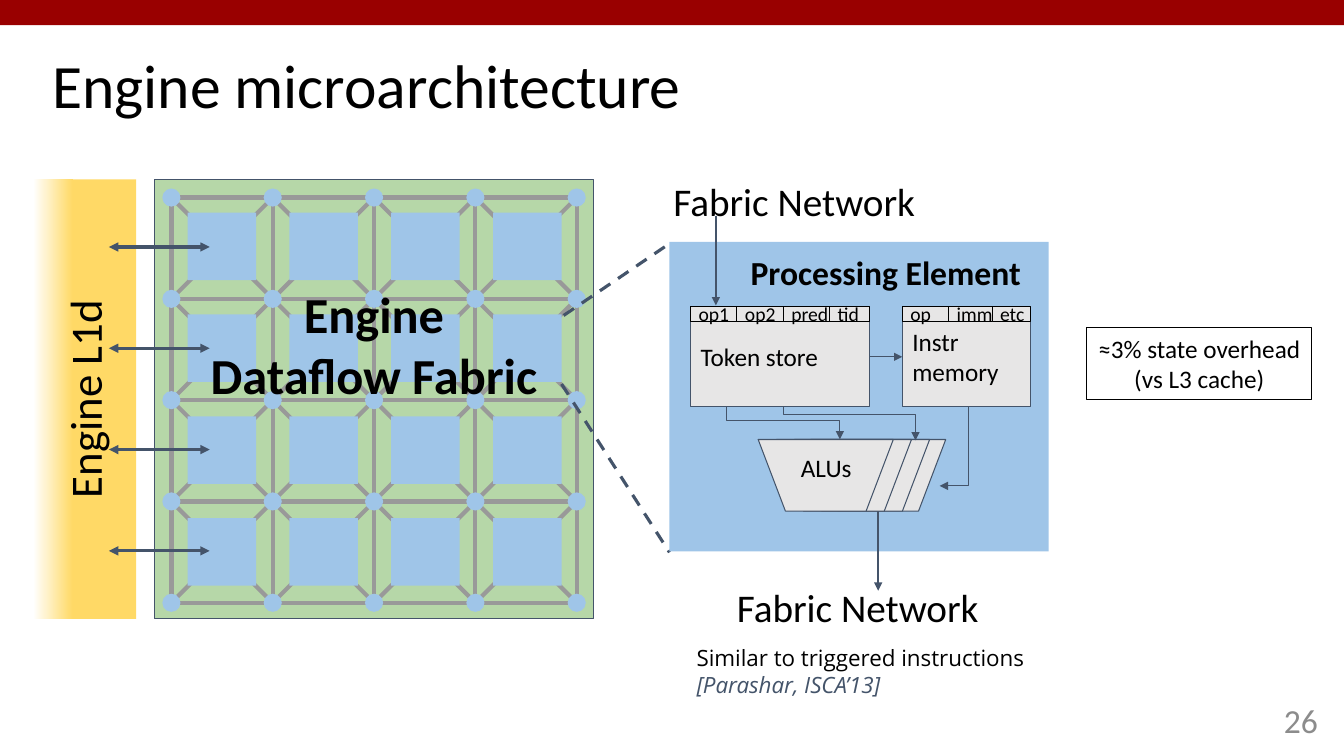
from lxml import etree
from pptx import Presentation
from pptx.dml.color import RGBColor
from pptx.enum.dml import MSO_LINE
from pptx.enum.shapes import MSO_CONNECTOR, MSO_SHAPE
from pptx.enum.text import MSO_ANCHOR, PP_ALIGN
from pptx.oxml.ns import qn
from pptx.util import Inches, Pt

RECTANGLE, OVAL, TRAPEZOID = MSO_SHAPE.RECTANGLE, MSO_SHAPE.OVAL, MSO_SHAPE.TRAPEZOID
STRAIGHT = MSO_CONNECTOR.STRAIGHT
DASH = MSO_LINE.DASH
LEFT, CENTER, RIGHT = PP_ALIGN.LEFT, PP_ALIGN.CENTER, PP_ALIGN.RIGHT
TOP, MIDDLE = MSO_ANCHOR.TOP, MSO_ANCHOR.MIDDLE

COLORS = {
    "banner": "990000",
    "fabric": "B6D7A8",
    "link": "999999",
    "element": "9FC5E8",
    "cache": "FFD966",
    "navy": "44546A",
    "unit": "E7E6E6",
    "black": "000000",
    "white": "FFFFFF",
    "number": "8C8C8C",
}
WIDE = (0.1, 0.1, 0.1, 0.1)
NORMAL = (0.1, 0.05, 0.1, 0.05)


def color(name):
    return RGBColor.from_string(COLORS[name])


class Diagram:
    def __init__(self, slide, font="Calibri"):
        self.slide = slide
        self.font = font

    def style_line(self, shape, name, width, ends=()):
        shape.line.color.rgb = color(name)
        shape.line.width = Pt(width)
        outline = shape.element.spPr.find(qn("a:ln"))
        for end in ends:
            etree.SubElement(outline, qn(f"a:{end}"), type="triangle")

    def box(self, left, top, width, height, fill=None, line=None, kind=RECTANGLE):
        shape = self.slide.shapes.add_shape(
            kind, Inches(left), Inches(top), Inches(width), Inches(height))
        shape.shadow.inherit = False
        if fill:
            shape.fill.solid()
            shape.fill.fore_color.rgb = color(fill)
        else:
            shape.fill.background()
        if line:
            self.style_line(shape, line, 0.75)
        else:
            shape.line.fill.background()
        return shape

    def set_text(self, shape, text, size, align=LEFT, anchor=TOP, insets=WIDE,
                 bold=False, ink="black", wrap=True):
        frame = shape.text_frame
        frame.word_wrap = wrap
        frame.vertical_anchor = anchor
        (frame.margin_left, frame.margin_top,
         frame.margin_right, frame.margin_bottom) = map(Inches, insets)
        frame.text = text
        for paragraph in frame.paragraphs:
            paragraph.alignment = align
            paragraph.font.name = self.font
            paragraph.font.size = Pt(size)
            paragraph.font.bold = bold
            paragraph.font.color.rgb = color(ink)

    def label(self, left, top, width, height, text, size, **style):
        shape = self.slide.shapes.add_textbox(
            Inches(left), Inches(top), Inches(width), Inches(height))
        self.set_text(shape, text, size, **style)
        return shape

    def line(self, start, end, name="navy", width=2.25, ends=(), dash=None):
        connector = self.slide.shapes.add_connector(
            STRAIGHT, *map(Inches, (*start, *end)))
        if dash:
            connector.line.dash_style = dash
        self.style_line(connector, name, width, ends)
        etree.SubElement(connector.element.spPr, qn("a:effectLst"))

    def route(self, *points):
        start, *rest = [(Inches(x), Inches(y)) for x, y in points]
        builder = self.slide.shapes.build_freeform(*start)
        builder.add_line_segments(rest, close=False)
        shape = builder.convert_to_shape()
        shape.shadow.inherit = False
        shape.fill.background()
        self.style_line(shape, "navy", 0.75, ["tailEnd"])

    def register(self, left, widths, names):
        for width, name in zip(widths, names):
            self.box(left, 3.04, width, 0.15, "unit", "black")
            self.label(left - 0.02, 2.95, 0.65, 0.34, name, 14, insets=NORMAL)
            left += width


def node(column, row):
    return 1.7 + 1.005 * column, 1.96 + 1.005 * row


def draw_fabric(diagram):
    diagram.box(1.53, 1.78, 4.36, 4.36, "fabric")
    links = []
    for index in range(5):
        links.append(((index, 0), (index, 4)))
        links.append(((0, index), (4, index)))
    for offset in range(-3, 4):
        right, down = max(offset, 0), max(-offset, 0)
        links.append(((right, down), (4 - down, 4 - right)))
        links.append(((4 - right, down), (down, 4 - right)))
    for start, end in links:
        diagram.line(node(*start), node(*end), "link", 3)
    for row in range(4):
        for column in range(4):
            diagram.box(1.86 + 1.01 * column, 2.11 + 1.01 * row, 0.68, 0.67, "element")
    for row in range(5):
        for column in range(5):
            x, y = node(column, row)
            diagram.box(x - 0.09, y - 0.09, 0.18, 0.18, "element", kind=OVAL)


def draw_cache(diagram):
    diagram.box(0.48, 1.78, 0.87, 4.36, "cache")
    fade = diagram.box(0.33, 1.78, 0.39, 4.36, "cache")
    fade.fill.gradient()
    fade.fill.gradient_angle = 0
    for stop, name in zip(fade.fill.gradient_stops, ("white", "cache")):
        stop.color.rgb = color(name)
    for row in range(4):
        y = 2.45 + 1.005 * row
        diagram.line((2.08, y), (1.08, y), ends=("headEnd", "tailEnd"))
    frame = diagram.box(1.53, 1.78, 4.36, 4.36, line="navy")
    diagram.set_text(frame, "Engine\nDataflow Fabric", 36, CENTER, MIDDLE,
                     (0.1, 0.1, 0.1, 1.2), bold=True)
    title = diagram.label(-1.45, 3.7, 4.35, 0.52, "Engine L1d", 32, align=CENTER)
    title.rotation = 270


def draw_processing_element(diagram):
    diagram.line((5.59, 3.13), (6.65, 2.41), dash=DASH)
    diagram.line((5.57, 3.81), (6.64, 5.48), dash=DASH)
    element = diagram.box(6.64, 2.4, 3.76, 3.07, "element")
    diagram.set_text(element, "Processing Element", 24, CENTER,
                     insets=(0.63, 0.1, 0.1, 0.1), bold=True)
    for left in (8.04, 7.88, 7.7, 7.52):
        unit = diagram.box(left, 4.36, 1.34, 0.71, "unit", "navy", TRAPEZOID)
        unit.adjustments[0] = 0.38
        unit.rotation = 180
    diagram.label(7.72, 4.39, 0.95, 0.51, "ALUs", 18, align=CENTER)
    diagram.line((7.1, 2.14), (7.1, 3.03), width=1.5, ends=["tailEnd"])
    diagram.line((8.71, 5.07), (8.71, 5.86), width=1.5, ends=["tailEnd"])
    for left, top in ((6.58, 1.66), (7.21, 5.69)):
        diagram.label(left, top, 2.92, 0.62, "Fabric Network", 28)
    diagram.line((8.62, 3.54), (8.95, 3.54), width=0.75, ends=["tailEnd"])
    diagram.route((9.61, 4.04), (9.61, 4.82), (9.32, 4.82))
    diagram.route((7.21, 3.92), (7.21, 4.17), (8.33, 4.17), (8.33, 4.36))
    diagram.route((7.77, 4.03), (7.77, 4.11), (9.08, 4.11), (9.08, 4.37))
    for left, width, name in ((6.85, 1.77, "Token store"), (8.95, 1.27, "Instr memory")):
        memory = diagram.box(left, 3.04, width, 0.99, "unit", "navy")
        diagram.set_text(memory, name, 18, anchor=MIDDLE)
    diagram.register(6.85, (0.46, 0.46, 0.46, 0.39), ("op1", "op2", "pred", "tid"))
    diagram.register(8.95, (0.46, 0.43, 0.38), ("op", "imm", "etc"))


def draw_notes(diagram):
    overhead = diagram.box(10.78, 3.25, 2.23, 0.71, line="black")
    diagram.set_text(overhead, "≈3% state overhead\n(vs L3 cache)", 18, CENTER,
                     MIDDLE, NORMAL, wrap=False)
    credit = diagram.label(6.81, 6.34, 3.48, 0.64,
                           "Similar to triggered instructions\n[Parashar, ISCA’13]",
                           16, insets=NORMAL, wrap=False)
    for paragraph in credit.text_frame.paragraphs:
        paragraph.font.name = "Open Sans"
    citation = credit.text_frame.paragraphs[1]
    citation.font.italic = True
    citation.font.color.rgb = color("navy")
    diagram.label(12.09, 6.94, 1.08, 0.4, "26", 24, align=RIGHT,
                  anchor=MIDDLE, insets=NORMAL, ink="number")


def main():
    presentation = Presentation()
    presentation.slide_width = Inches(13.33)
    presentation.slide_height = Inches(7.5)
    diagram = Diagram(presentation.slides.add_slide(presentation.slide_layouts[6]))
    diagram.box(0, 0, 13.33, 0.25, "banner")
    title = diagram.label(0.42, 0.45, 12.5, 0.85, "Engine microarchitecture", 44,
                          anchor=MIDDLE, insets=NORMAL)
    title.text_frame.paragraphs[0].line_spacing = 0.9
    draw_fabric(diagram)
    draw_cache(diagram)
    draw_processing_element(diagram)
    draw_notes(diagram)
    presentation.save("out.pptx")


if __name__ == "__main__":
    main()
